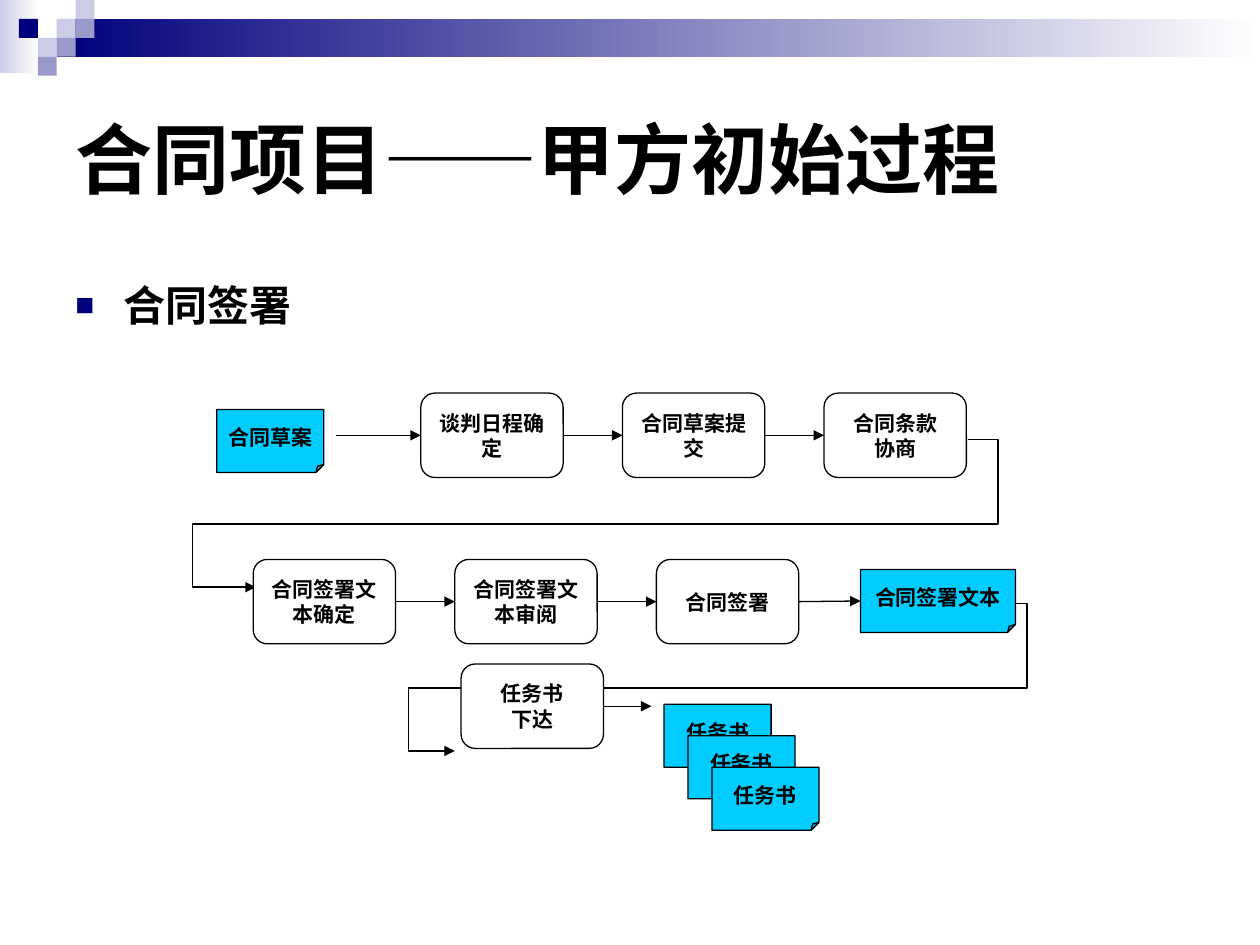
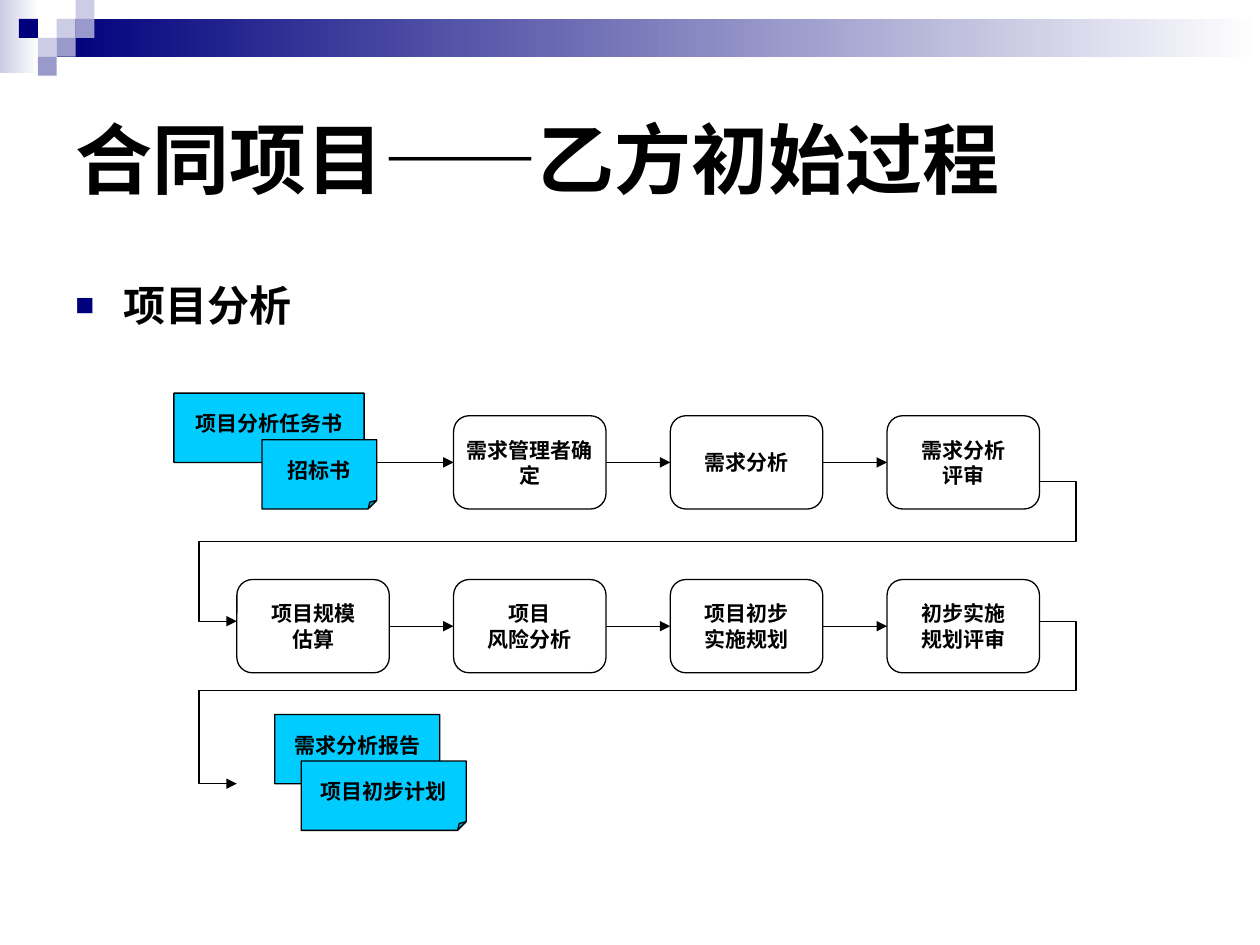
from dataclasses import dataclass

from lxml import etree
from pptx import Presentation
from pptx import util as u
from pptx.dml.color import RGBColor
from pptx.enum import shapes, text
from pptx.oxml.ns import qn


@dataclass(frozen=True)
class Theme:
    navy: str = "00007D"
    lilac: str = "9999CC"
    pale: str = "CCCCE6"
    white: str = "FFFFFF"
    ink: str = "000000"
    document: str = "00CCFF"
    title_size: int = 44
    topic_size: int = 24
    label_size: int = 12
    line_width: float = 0.75
    title_font: str = "Noto Sans CJK SC"
    topic_font: str = "Arial"
    label_font: str = "Times New Roman"


THEME = Theme()
WIDTH, HEIGHT = 10, 7.5

# Corner mosaic: (column, row, colour) on a square grid
TILE = 0.15
TILES = [
    (3, 1, THEME.pale), (4, 0, THEME.pale), (4, 1, THEME.lilac),
    (2, 2, THEME.pale), (1, 1, THEME.navy), (3, 2, THEME.lilac),
    (2, 3, THEME.lilac),
]

# rows: steps spaced by "pitch"; "enter" and "leave" are the outer ends of
# arrows into the first and out of the last step, "result" a document index.
# documents: (left, top, width, label)
# returns: (start x, start y, right x, middle y, left x, end y, end x)
SLIDES = [
    {
        "title": "合同项目——甲方初始过程",
        "topic": "合同签署",
        "step_size": (1.13, 0.67), "pitch": 1.6, "step_inset": 0.1,
        "rows": [
            {"left": 3.34, "top": 3.12, "enter": 2.67,
             "steps": ["谈判日程确定", "合同草案提交", "合同条款\n协商"]},
            {"left": 2.01, "top": 4.44, "result": 1,
             "steps": ["合同签署文本确定", "合同签署文本审阅", "合同签署"]},
            {"left": 3.66, "top": 5.27, "leave": 5.17,
             "steps": ["任务书\n下达"]},
        ],
        "document_height": 0.5,
        "documents": [
            (1.72, 3.25, 0.85, "合同草案"),
            (6.83, 4.52, 1.23, "合同签署文本"),
            *[(5.27 + 0.19 * i, 5.59 + 0.25 * i, 0.85, "任务书") for i in range(3)],
        ],
        "returns": [
            (7.68, 3.49, 7.92, 4.16, 1.53, 4.66, 2.03),
            (7.96, 4.79, 8.15, 5.46, 3.24, 5.96, 3.61),
        ],
    },
    {
        "title": "合同项目——乙方初始过程",
        "topic": "项目分析",
        "step_size": (1.21, 0.74), "pitch": 1.72, "step_inset": 0,
        "rows": [
            {"left": 3.6, "top": 3.3, "enter": 2.99,
             "steps": ["需求管理者确定", "需求分析", "需求分析\n评审"]},
            {"left": 1.88, "top": 4.6,
             "steps": ["项目规模\n估算", "项目\n风险分析", "项目初步\n实施规划",
                       "初步实施\n规划评审"]},
        ],
        "document_height": 0.55,
        "documents": [
            (2.18, 5.67, 1.31, "需求分析报告"),
            (1.38, 3.12, 1.51, "项目分析任务书"),
            (2.08, 3.49, 0.91, "招标书"),
            (2.39, 6.04, 1.31, "项目初步计划"),
        ],
        "returns": [
            (8.24, 3.82, 8.54, 4.3, 1.58, 4.93, 1.88),
            (8.24, 4.93, 8.54, 5.48, 1.58, 6.22, 1.88),
        ],
    },
]


def rgb(colour):
    return RGBColor.from_string(colour)


def inches(*lengths):
    return [u.Inches(length) for length in lengths]


def add_run(paragraph, words, size, font_name):
    run = paragraph.add_run()
    run.text = words
    run.font.size = u.Pt(size)
    run.font.bold = True
    run.font.color.rgb = rgb(THEME.ink)
    run.font.name = font_name
    east_asian = etree.SubElement(run.font._element, qn("a:ea"))
    east_asian.set("typeface", THEME.title_font)


def set_outline(line, arrow=False):
    line.color.rgb = rgb(THEME.ink)
    line.width = u.Pt(THEME.line_width)
    if arrow:
        etree.SubElement(line._get_or_add_ln(), qn("a:tailEnd"), type="triangle")


def add_plain_rectangle(slide, box, colours):
    """One colour gives a solid fill, two a left-to-right gradient."""
    shape = slide.shapes.add_shape(shapes.MSO_SHAPE.RECTANGLE, *inches(*box))
    shape.shadow.inherit = False
    shape.line.fill.background()
    if len(colours) == 1:
        shape.fill.solid()
        shape.fill.fore_color.rgb = rgb(colours[0])
        return
    shape.fill.gradient()
    shape.fill.gradient_angle = 0
    for stop, position, colour in zip(shape.fill.gradient_stops, (0, 1), colours):
        stop.position = position
        stop.color.rgb = rgb(colour)


def add_header_band(slide):
    band_left = 3 * TILE
    add_plain_rectangle(slide, (0, 0, 0.31, 0.58), (THEME.pale, THEME.white))
    add_plain_rectangle(slide, (band_left, TILE, WIDTH - band_left, 2 * TILE),
                        (THEME.navy, THEME.white))
    for column, row, colour in TILES:
        add_plain_rectangle(slide, (column * TILE, row * TILE, TILE, TILE), (colour,))


def add_heading(slide, box, words, size, font_name):
    frame = slide.shapes.add_textbox(*inches(*box)).text_frame
    frame.word_wrap = True
    add_run(frame.paragraphs[0], words, size, font_name)
    return frame


def add_square_bullet(paragraph):
    properties = paragraph._p.get_or_add_pPr()
    properties.set("marL", str(u.Inches(0.38)))
    properties.set("indent", str(-u.Inches(0.38)))
    colour = etree.SubElement(properties, qn("a:buClr"))
    etree.SubElement(colour, qn("a:srgbClr"), val=THEME.navy)
    etree.SubElement(properties, qn("a:buSzPct"), val="75000")
    etree.SubElement(properties, qn("a:buFont"), typeface=THEME.topic_font)
    etree.SubElement(properties, qn("a:buChar"), char="■")


def set_corner(shape, share):
    """Set the corner size by XML, as folded corners list no adjustments."""
    guides = shape._element.spPr.find(qn("a:prstGeom")).find(qn("a:avLst"))
    for guide in list(guides):
        guides.remove(guide)
    etree.SubElement(guides, qn("a:gd"), name="adj", fmla=f"val {round(share * 100000)}")


def add_label_box(slide, preset, box, label, colour, corner, insets):
    shape = slide.shapes.add_shape(preset, *inches(*box))
    set_corner(shape, corner)
    shape.shadow.inherit = False
    shape.fill.solid()
    shape.fill.fore_color.rgb = rgb(colour)
    set_outline(shape.line)
    frame = shape.text_frame
    frame.word_wrap = True
    frame.vertical_anchor = text.MSO_ANCHOR.MIDDLE
    side, end = inches(*insets)
    frame.margin_left = frame.margin_right = side
    frame.margin_top = frame.margin_bottom = end
    for index, words in enumerate(label.split("\n")):
        paragraph = frame.add_paragraph() if index else frame.paragraphs[0]
        paragraph.alignment = text.PP_ALIGN.CENTER
        add_run(paragraph, words, THEME.label_size, THEME.label_font)
    return shape


def add_arrow(slide, source, target):
    """Each end is a shape to join, or an x at the height of the other end."""
    source_is_free = isinstance(source, (int, float))
    target_is_free = isinstance(target, (int, float))
    joined = target if source_is_free else source
    middle = joined.top + joined.height // 2
    x1 = u.Inches(source) if source_is_free else source.left + source.width
    x2 = u.Inches(target) if target_is_free else target.left
    connector = slide.shapes.add_connector(
        shapes.MSO_CONNECTOR.STRAIGHT, x1, middle, x2, middle)
    if not source_is_free:
        connector.begin_connect(source, 3)
    if not target_is_free:
        connector.end_connect(target, 1)
    set_outline(connector.line, arrow=True)
    etree.SubElement(connector._element.spPr, qn("a:effectLst"))


def add_return_path(slide, start_x, start_y, right, middle, left, end_y, end_x):
    """Lead from the end of one row back to the start of the next."""
    builder = slide.shapes.build_freeform(*inches(start_x, start_y))
    corners = [(right, start_y), (right, middle), (left, middle),
               (left, end_y), (end_x, end_y)]
    builder.add_line_segments([inches(*corner) for corner in corners], close=False)
    shape = builder.convert_to_shape()
    shape.shadow.inherit = False
    shape.fill.background()
    set_outline(shape.line, arrow=True)


def add_flow(slide, content):
    for path_points in content["returns"]:
        add_return_path(slide, *path_points)
    step_rows = [
        [add_label_box(slide, shapes.MSO_SHAPE.ROUNDED_RECTANGLE,
                       (row["left"] + column * content["pitch"], row["top"],
                        *content["step_size"]),
                       label, THEME.white, 0.167, (content["step_inset"], 0))
         for column, label in enumerate(row["steps"])]
        for row in content["rows"]
    ]
    documents = [
        add_label_box(slide, shapes.MSO_SHAPE.FOLDED_CORNER,
                      (left, top, width, content["document_height"]),
                      label, THEME.document, 0.125, (0, 0.05))
        for left, top, width, label in content["documents"]
    ]
    for row, steps in zip(content["rows"], step_rows):
        chain = list(steps)
        if "enter" in row:
            chain.insert(0, row["enter"])
        if "leave" in row:
            chain.append(row["leave"])
        if "result" in row:
            chain.append(documents[row["result"]])
        for source, target in zip(chain, chain[1:]):
            add_arrow(slide, source, target)


def main():
    presentation = Presentation()
    presentation.slide_width, presentation.slide_height = inches(WIDTH, HEIGHT)
    for content in SLIDES:
        slide = presentation.slides.add_slide(presentation.slide_layouts[6])
        add_header_band(slide)
        title = add_heading(slide, (0.5, 0.5, 9, 1.5), content["title"],
                            THEME.title_size, THEME.title_font)
        title.vertical_anchor = text.MSO_ANCHOR.MIDDLE
        topic = add_heading(slide, (0.5, 2.17, 9, 0.64), content["topic"],
                            THEME.topic_size, THEME.topic_font)
        add_square_bullet(topic.paragraphs[0])
        add_flow(slide, content)
    presentation.save("out.pptx")


if __name__ == "__main__":
    main()
